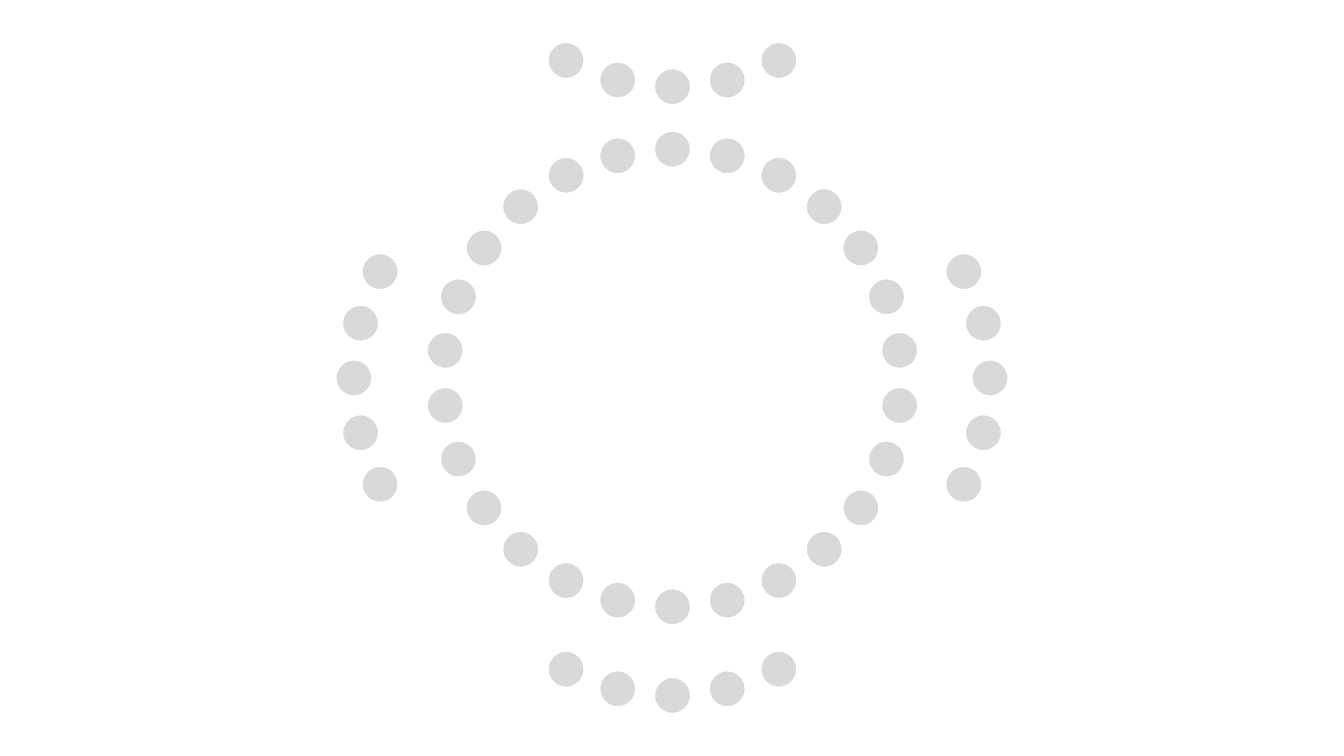
from dataclasses import dataclass
from math import cos, radians, sin

from pptx import Presentation
from pptx.dml.color import RGBColor
from pptx.enum.shapes import MSO_SHAPE as SHAPE
from pptx.shapes.autoshape import Shape
from pptx.slide import Slide
from pptx.util import Inches, Pt

GRAY = RGBColor(0xD9, 0xD9, 0xD9)
WHITE = RGBColor(0xFF, 0xFF, 0xFF)

DOT_SIZE = 0.36
RADIUS = 2.27
RING_COUNT = 26
STEP = 360 / RING_COUNT
CENTER_X, CENTER_Y = 6.67, 3.75


@dataclass(frozen=True)
class DotArc:
    cx: float
    cy: float
    heading: float
    steps: range


RING = range(RING_COUNT)
FIVE = range(-2, 3)

ARCS = [
    DotArc(CENTER_X, CENTER_Y, 0, RING),
    DotArc(5.78, CENTER_Y, 270, FIVE),
    DotArc(7.55, CENTER_Y, 90, FIVE),
    DotArc(CENTER_X, 4.63, 180, FIVE),
    DotArc(CENTER_X, -1.41, 180, FIVE),
]


def add_dot(slide: Slide, x: float, y: float) -> Shape:
    sp = slide.shapes.add_shape(
        SHAPE.OVAL,
        Inches(x - DOT_SIZE / 2),
        Inches(y - DOT_SIZE / 2),
        Inches(DOT_SIZE),
        Inches(DOT_SIZE),
    )
    sp.shadow.inherit = False
    sp.fill.solid()
    sp.fill.fore_color.rgb = GRAY
    sp.line.color.rgb = WHITE
    sp.line.width = Pt(1)
    return sp


def add_arc(slide: Slide, arc: DotArc) -> None:
    for step in arc.steps:
        angle = radians(arc.heading + step * STEP)
        add_dot(slide, arc.cx + RADIUS * sin(angle), arc.cy - RADIUS * cos(angle))


def main() -> None:
    prs = Presentation()
    prs.slide_width = Inches(13.33)
    prs.slide_height = Inches(7.5)
    slide = prs.slides.add_slide(prs.slide_layouts[6])
    for arc in ARCS:
        add_arc(slide, arc)
    prs.save("out.pptx")


if __name__ == "__main__":
    main()
